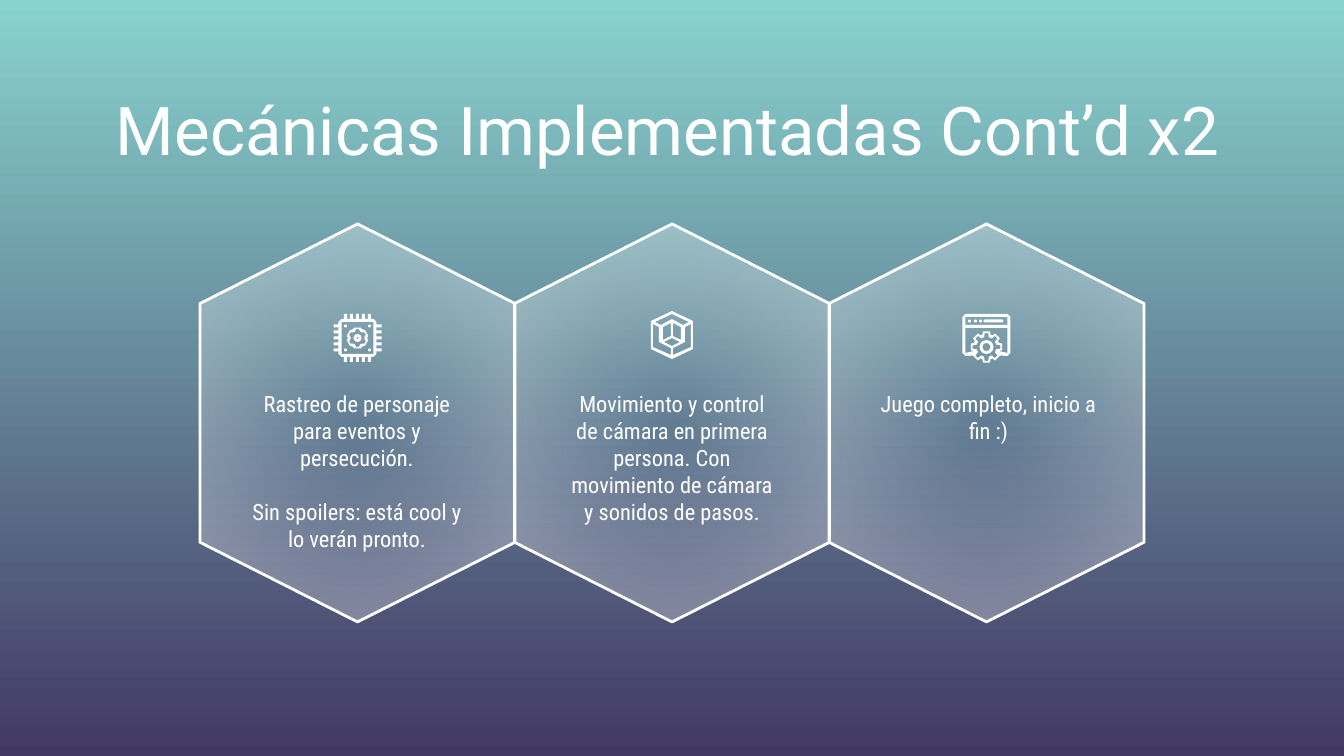
from math import cos, pi, sin

from lxml.etree import SubElement
from pptx import Presentation
from pptx.dml.color import RGBColor
from pptx.enum.shapes import MSO_SHAPE
from pptx.enum.text import PP_ALIGN
from pptx.oxml.ns import qn
from pptx.util import Emu, Pt


def px(n):
    return Emu(round(n * 914400 / 134.4))


def tint(code):
    return RGBColor.from_string(code)


def cog(y, teeth, tip, root, head, foot):
    step = 2 * pi / teeth
    edge = ((-foot, root), (-head, tip), (head, tip), (foot, root))
    return [(r * sin(step * (n + turn)), y - r * cos(step * (n + turn)))
            for n in range(teeth) for turn, r in edge]


def flip(points):
    return [(-x, y) for x, y in points]


class Slide:
    """Holds the style and the current slide, and draws each kind of element."""

    ink = "FFFFFF"
    bar = 3

    def __init__(self, deck):
        self.page = deck.slides.add_slide(deck.slide_layouts[6])
        self.shapes = self.page.shapes

    def back(self, top, base):
        fill = self.page.background.fill
        fill.gradient()
        fill.gradient_angle = 270
        for stop, code in zip(fill.gradient_stops, (top, base)):
            stop.color.rgb = tint(code)

    def text(self, x, y, w, h, lines, size, font, align, gap=0):
        frame = self.shapes.add_textbox(px(x), px(y), px(w), px(h)).text_frame
        frame.word_wrap = True
        frame.margin_left = frame.margin_right = Pt(7.2)
        frame.margin_top = frame.margin_bottom = Pt(7.2)
        for i, words in enumerate(lines):
            para = frame.add_paragraph() if i else frame.paragraphs[0]
            para.alignment = align
            if i:
                para.space_before = Pt(gap)
            run = para.add_run()
            run.text = words
            run.font.size = Pt(size)
            run.font.name = font
            run.font.color.rgb = tint(self.ink)

    def paint(self, form):
        form.shadow.inherit = False
        form.fill.solid()
        form.fill.fore_color.rgb = tint(self.ink)
        form.line.fill.background()

    def shape(self, kind, cx, cy, w, h):
        form = self.shapes.add_shape(kind, px(cx - w / 2), px(cy - h / 2), px(w), px(h))
        self.paint(form)
        return form

    def hexagon(self, cx, cy, w, h):
        hexa = self.shape(MSO_SHAPE.FLOWCHART_PREPARATION, cx, cy, w, h)
        hexa.rotation = 90
        hexa.line.color.rgb = tint(self.ink)
        hexa.line.width = Pt(1.5)
        hexa.fill.gradient()
        for stop, alpha in zip(hexa.fill.gradient_stops, (0, 39)):
            stop.color.rgb = tint(self.ink)
            code = stop._gs.find(qn("a:srgbClr"))
            SubElement(code, qn("a:alpha"), val=str(alpha * 1000))
        grad = hexa._element.spPr.find(qn("a:gradFill"))
        grad.remove(grad.find(qn("a:lin")))
        way = SubElement(grad, qn("a:path"), {"path": "circle"})
        SubElement(way, qn("a:fillToRect"), {side: "50000" for side in "ltrb"})

    def ring(self, cx, cy, r):
        form = self.shape(MSO_SHAPE.DONUT, cx, cy, 2 * r, 2 * r)
        form.adjustments[0] = self.bar / (2 * r)

    def dot(self, cx, cy):
        self.shape(MSO_SHAPE.OVAL, cx, cy, self.bar, self.bar)

    def trace(self, cx, cy, *loops):
        pen = None
        for loop in loops:
            spots = [(px(cx + x), px(cy + y)) for x, y in loop]
            if pen:
                pen.move_to(*spots[0])
            else:
                pen = self.shapes.build_freeform(*spots[0], scale=1.0)
            pen.add_line_segments(spots[1:], close=True)
        self.paint(pen.convert_to_shape())

    def chip(self, cx, cy):
        half = self.bar / 2
        side = [(pin + x, y) for pin in range(-12, 13, 6)
                for x, y in ((-half, -19), (-half, -24), (half, -24), (half, -19))]
        side += [(16, -19), (19, -16)]
        body = []
        for _ in range(4):
            body += side
            side = [(-y, x) for x, y in side]
        self.trace(cx, cy, body, [(-16, -16), (16, -16), (16, 16), (-16, 16)])
        for x in (-12, 12):
            for y in (-12, 12):
                self.dot(cx + x, cy + y)
        self.trace(cx, cy, cog(0, 6, 11, 10, 0.3, 0.42), cog(0, 6, 9, 7, 0.14, 0.38))
        self.ring(cx, cy, 4)

    def cube(self, cx, cy):
        rim = [(0, -24), (21, -14), (21, 14), (0, 24), (-21, 14), (-21, -14)]
        lid = [(0, -21), (17, -13), (11, -10), (0, -16), (-11, -10), (-17, -13)]
        pane = [(1, -12), (9, -8), (9, 5), (1, 1)]
        base = [(0, 3), (8, 7), (0, 11), (-8, 7)]
        wall = [(19, -11), (19, 12), (1, 20), (1, 13), (13, 7), (13, -8)]
        self.trace(cx, cy, rim, lid, pane, flip(pane), base, wall, flip(wall))

    def window(self, cx, cy):
        wheel = cog(12, 8, 16, 13, 0.27, 0.4)
        edge = [(-24, 18), (-24, -18), (-21, -21), (21, -21), (24, -18), (24, 18), (21, 21)]
        rim = edge + wheel[13:23] + [(-21, 21)]
        head = [(-21, -18), (21, -18), (21, -10), (-21, -10)]
        arc = wheel[24:] + wheel[:12]
        body = [(-21, -7), (21, -7), (21, 18)] + arc[::-1] + [(-21, 18)]
        self.trace(cx, cy, rim, head, body, cog(12, 8, 14, 10, 0.17, 0.3))
        for x in (-17, -11, -6):
            self.dot(cx + x, cy - 14)
        slot = self.shape(MSO_SHAPE.ROUNDED_RECTANGLE, cx + 7, cy - 14, 20, self.bar)
        slot.adjustments[0] = 0.5
        self.ring(cx, cy + 12, 7)


def main():
    deck = Presentation()
    deck.slide_width, deck.slide_height = px(1344), px(756)
    show = Slide(deck)
    show.back("88D3CE", "423864")
    show.text(0, 75, 1233, 98, ["Mecánicas Implementadas Cont’d x2"],
              36, "Roboto", PP_ALIGN.RIGHT)
    mids = [672 + 314.5 * n for n in (-1, 0, 1)]
    for mid in mids:
        show.hexagon(mid, 423, 398, 315)
    cards = [
        (230, 254, ["Rastreo de personaje para eventos y persecución.",
                    "Sin spoilers: está cool y lo verán pronto."]),
        (558, 228, ["Movimiento y control de cámara en primera persona. "
                    "Con movimiento de cámara y sonidos de pasos."]),
        (864, 249, ["Juego completo, inicio a fin :)"]),
    ]
    for x, w, lines in cards:
        show.text(x, 377, w, 79, lines, 12, "Roboto Condensed", PP_ALIGN.CENTER, 14.3)
    icons = ((show.chip, 338), (show.cube, 335), (show.window, 335))
    for mid, (draw, y) in zip(mids, icons):
        draw(mid, y)
    deck.save("out.pptx")


if __name__ == "__main__":
    main()
